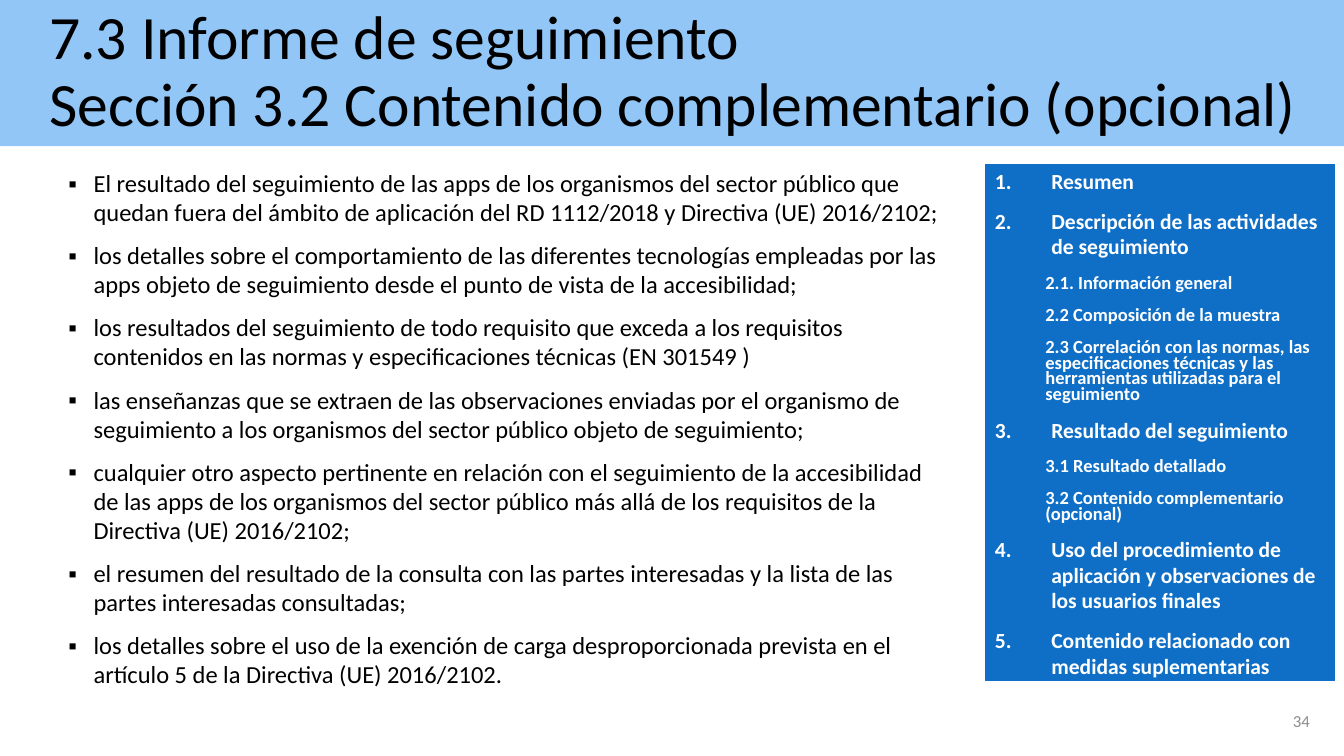
import pptx
import pptx.util
import pptx.dml.color
import pptx.enum.shapes
import pptx.enum.text
import pptx.oxml.ns
from lxml import etree

TITLE = ["7.3 Informe de seguimiento",
         "Sección 3.2 Contenido complementario (opcional)"]
POINTS = [
    "El resultado del seguimiento de las apps de los organismos del sector público que quedan fuera del ámbito de aplicación del RD 1112/2018 y Directiva (UE) 2016/2102;",
    "los detalles sobre el comportamiento de las diferentes tecnologías empleadas por las apps objeto de seguimiento desde el punto de vista de la accesibilidad;",
    "los resultados del seguimiento de todo requisito que exceda a los requisitos contenidos en las normas y especificaciones técnicas (EN 301549 )",
    "las enseñanzas que se extraen de las observaciones enviadas por el organismo de seguimiento a los organismos del sector público objeto de seguimiento;",
    "cualquier otro aspecto pertinente en relación con el seguimiento de la accesibilidad de las apps de los organismos del sector público más allá de los requisitos de la Directiva (UE) 2016/2102;",
    "el resumen del resultado de la consulta con las partes interesadas y la lista de las partes interesadas consultadas;",
    "los detalles sobre el uso de la exención de carga desproporcionada prevista en el artículo 5 de la Directiva (UE) 2016/2102.",
]
INDEX = [
    ("Resumen", []),
    ("Descripción de las actividades de seguimiento", [
        "2.1. Información general",
        "2.2 Composición de la muestra",
        "2.3 Correlación con las normas, las especificaciones técnicas y las herramientas utilizadas para el seguimiento"]),
    ("Resultado del seguimiento", [
        "3.1 Resultado detallado",
        "3.2 Contenido complementario (opcional)"]),
    ("Uso del procedimiento de aplicación y observaciones de los usuarios finales", []),
    ("Contenido relacionado con medidas suplementarias", []),
]
PAGE = "34"
COLORS = {"band": "91C6F7", "panel": "0F6FC6", "text": "000000",
          "light": "FFFFFF", "page": "8C8C8C"}
WIDE, HIGH = 13.33, 7.5
TOP = 1.63
ANCHOR = pptx.enum.text.MSO_ANCHOR
ALIGN = pptx.enum.text.PP_ALIGN
Pt = pptx.util.Pt


def color(name):
    """Look up a named colour."""
    return pptx.dml.color.RGBColor.from_string(COLORS[name])


def place(box):
    """Turn lengths in inches into slide units."""
    return [pptx.util.Inches(part) for part in box]


def panel(slide, box, fill, line=None):
    """Add a filled rectangle and return its text frame."""
    shape = slide.shapes.add_shape(
        pptx.enum.shapes.MSO_SHAPE.RECTANGLE, *place(box))
    shape.shadow.inherit = False
    shape.fill.solid()
    shape.fill.fore_color.rgb = color(fill)
    if line:
        shape.line.color.rgb = color(line)
        shape.line.width = Pt(0.75)
    else:
        shape.line.fill.background()
    return setup(shape.text_frame)


def label(slide, box, anchor=ANCHOR.TOP):
    """Add a text box and return its text frame."""
    return setup(slide.shapes.add_textbox(*place(box)).text_frame, anchor)


def setup(frame, anchor=ANCHOR.TOP):
    """Make a frame wrap and fix its anchor."""
    frame.word_wrap = True
    frame.vertical_anchor = anchor
    return frame


def write(frame, lines, size, tint, bold=False, align=ALIGN.LEFT, left=0,
          hang=0, space=None, before=0, level=0, mark=None):
    """Append a paragraph; lines are split by line breaks."""
    para = frame.paragraphs[0]
    if para.runs:
        para = frame.add_paragraph()
    para.alignment = align
    para.level = level
    para.space_before = Pt(before)
    if space:
        para.line_spacing = space
    for i, text in enumerate(lines):
        if i:
            para.add_line_break()
        run = para.add_run()
        run.text = text
        run.font.name = "Calibri"
        run.font.size = Pt(size)
        run.font.bold = bold
        run.font.color.rgb = color(tint)
    props = para._p.get_or_add_pPr()
    props.set("marL", str(pptx.util.Inches(left)))
    props.set("indent", str(pptx.util.Inches(-hang)))
    qn = pptx.oxml.ns.qn
    if mark == "number":
        etree.SubElement(props, qn("a:buAutoNum"), type="arabicPeriod")
    elif mark:
        etree.SubElement(props, qn("a:buFont"), typeface="Arial")
        etree.SubElement(props, qn("a:buChar"), char=mark)
    else:
        etree.SubElement(props, qn("a:buNone"))


deck = pptx.Presentation()
deck.slide_width, deck.slide_height = place((WIDE, HIGH))
slide = deck.slides.add_slide(deck.slide_layouts[6])

head = panel(slide, (0, 0, WIDE, 1.45), "band")
head.vertical_anchor = ANCHOR.MIDDLE
write(head, TITLE, 44, "text", left=0.39, space=0.9)

body = label(slide, (0.58, TOP, 8.9, HIGH - TOP))
for point in POINTS:
    write(body, [point], 17.5, "text", left=0.25, hang=0.25,
          space=0.99, before=10, mark="▪")

foot = label(slide, (10.09, 6.95, 3, 0.4), ANCHOR.MIDDLE)
write(foot, [PAGE], 12, "page", align=ALIGN.RIGHT)

side = panel(slide, (9.77, TOP, 3.47, 5.12), "panel", "panel")
for topic, parts in INDEX:
    write(side, [topic], 15.4, "light", bold=True, left=0.56, hang=0.56,
          space=0.99, before=10, mark="number")
    for part in parts:
        write(side, [part], 13.2, "light", bold=True, left=0.5,
              space=0.7, before=12, level=1)

deck.save("out.pptx")
